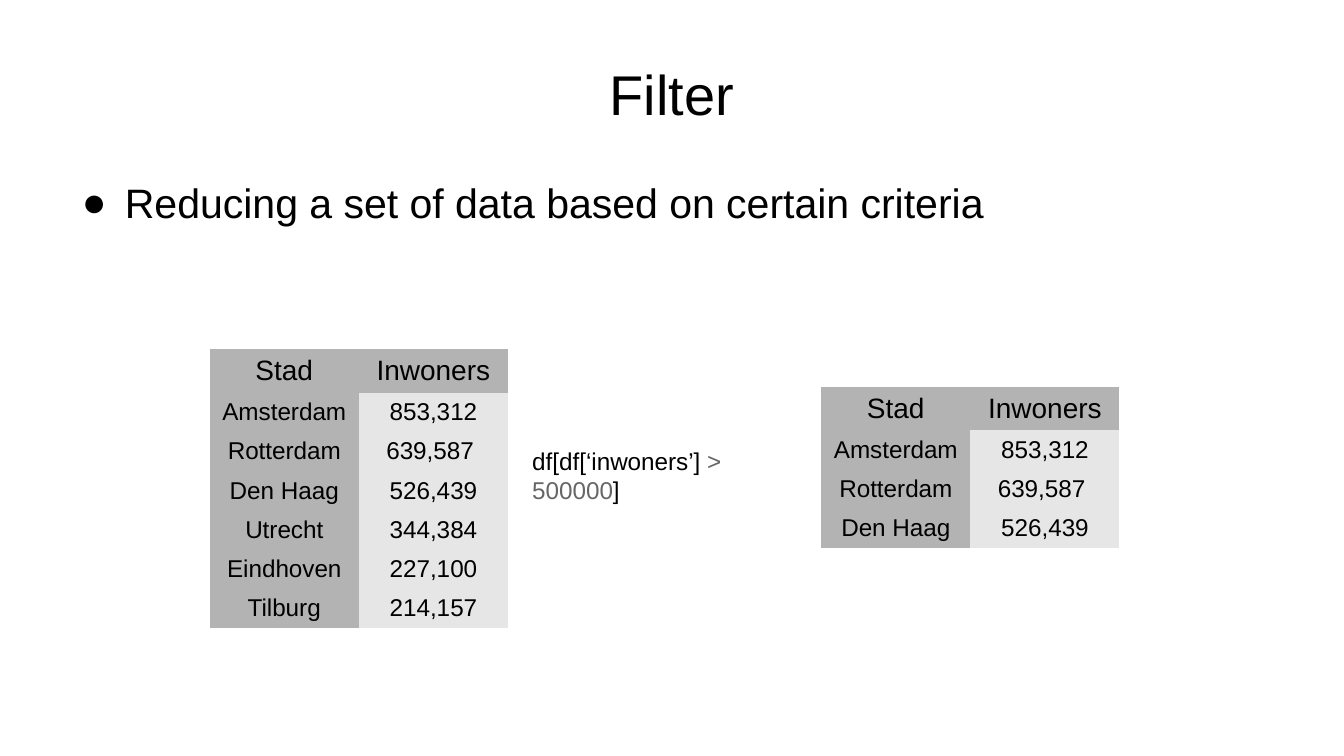
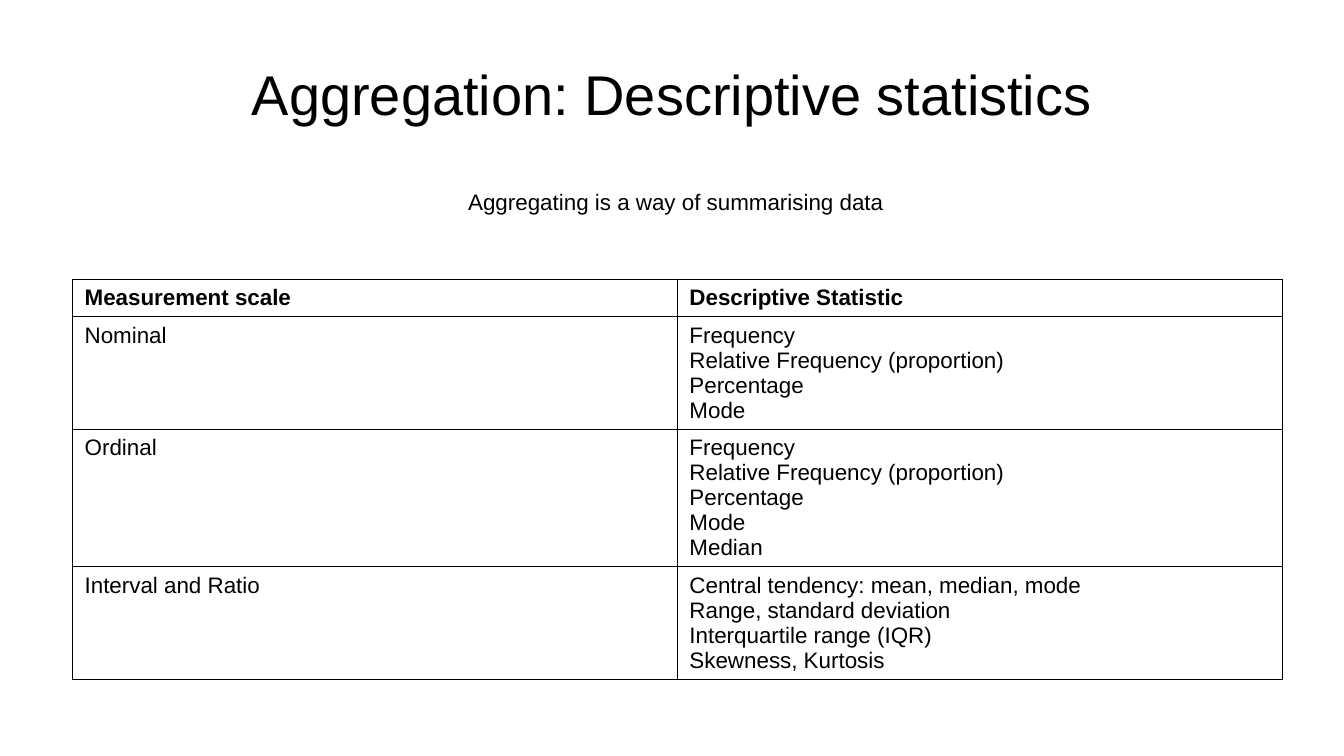
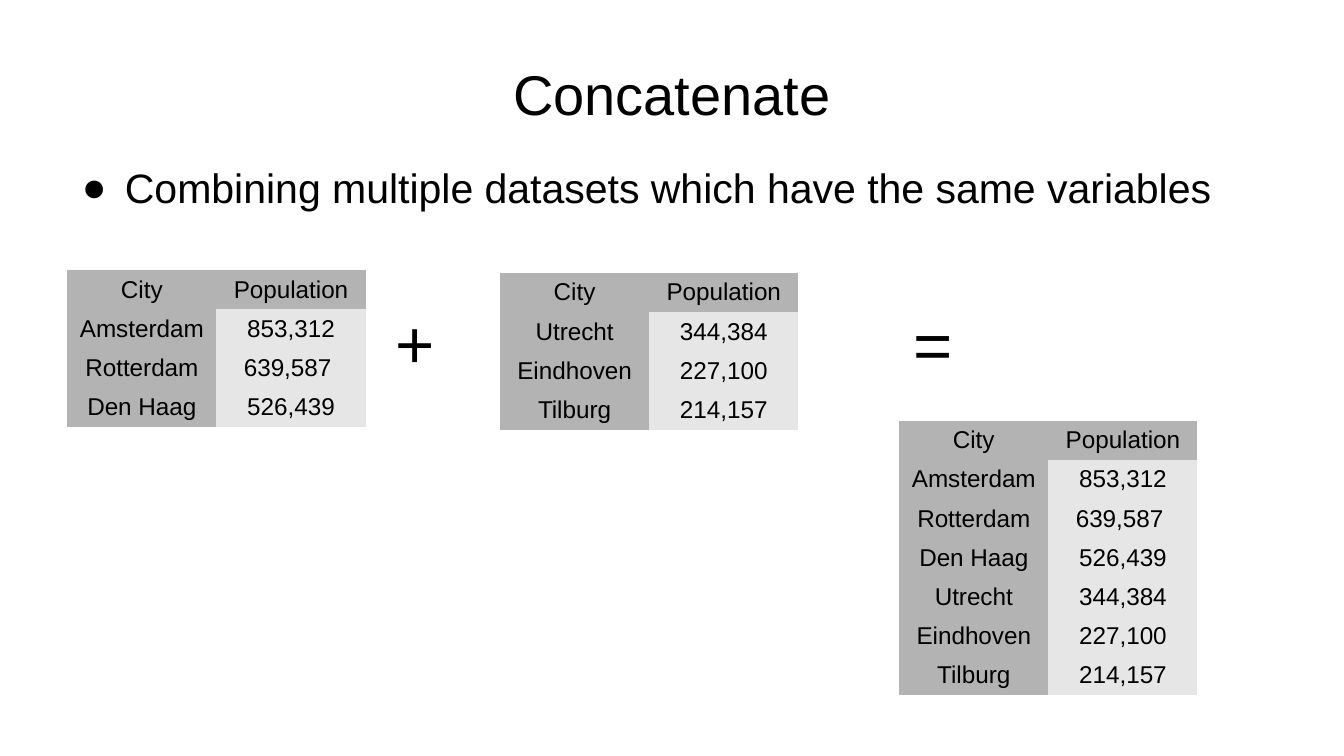
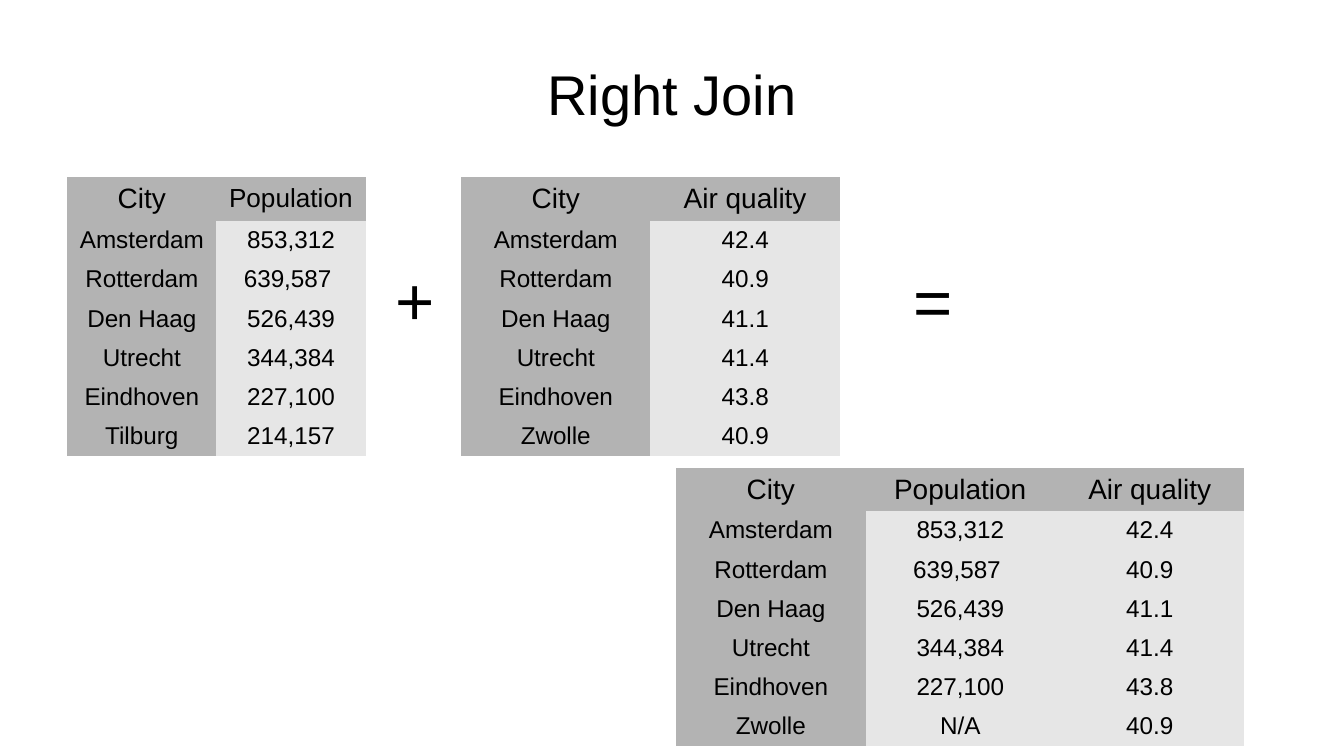
from lxml import etree
from pptx import Presentation
from pptx.dml.color import RGBColor
from pptx.enum.text import MSO_ANCHOR, MSO_AUTO_SIZE, PP_ALIGN
from pptx.oxml.ns import qn
from pptx.util import Inches, Pt

LEFT, CENTER = PP_ALIGN.LEFT, PP_ALIGN.CENTER
TOP, MIDDLE = MSO_ANCHOR.TOP, MSO_ANCHOR.MIDDLE
NO_FIT = MSO_AUTO_SIZE.NONE
TITLE_ONLY = 5

# Shared style
FONT = "Arial"
BLACK, WHITE, GREY = "000000", "FFFFFF", "666666"
HEADER_FILL, VALUE_FILL = "B3B3B3", "E6E6E6"
TITLE_SIZE, BULLET_SIZE, OPERATOR_SIZE = 30, 22, 36
HEADER_SIZE, CELL_SIZE, NOTE_SIZE = 15, 13, 12

# Grid of 100 columns by 56.25 rows on a 10 by 5.625 inch slide
WIDTH, HEIGHT = Inches(10), Inches(5.625)
CELL = WIDTH / 100
CELL_INSETS = (0.9, 0.45)
BOX_INSETS = (0.9, 0.4)
NO_INSETS = (0, 0)

# Data
POPULATION = {
    "Amsterdam": "853,312",
    "Rotterdam": "639,587 ",
    "Den Haag": "526,439",
    "Utrecht": "344,384",
    "Eindhoven": "227,100",
    "Tilburg": "214,157",
}
AIR_QUALITY = {
    "Amsterdam": "42.4",
    "Rotterdam": "40.9",
    "Den Haag": "41.1",
    "Utrecht": "41.4",
    "Eindhoven": "43.8",
    "Zwolle": "40.9",
}
FREQUENCIES = ["Frequency", "Relative Frequency (proportion)", "Percentage", "Mode"]
STATISTICS = [
    ("Measurement scale", ["Descriptive Statistic"]),
    ("Nominal", FREQUENCIES),
    ("Ordinal", FREQUENCIES + ["Median"]),
    ("Interval and Ratio", ["Central tendency: mean, median, mode",
                            "Range, standard deviation",
                            "Interquartile range (IQR)",
                            "Skewness, Kurtosis"]),
]


def color(value):
    return RGBColor.from_string(value)


def grid(*lengths):
    return [round(length * CELL) for length in lengths]


class Slides:
    def __init__(self):
        self.deck = Presentation()
        self.deck.slide_width, self.deck.slide_height = WIDTH, HEIGHT
        self.page = None

    def new_page(self, title):
        self.page = self.deck.slides.add_slide(self.deck.slide_layouts[TITLE_ONLY])
        box = self.page.shapes.title
        box.left, box.top, box.width, box.height = grid(5, 2.2, 90, 9.4)
        self.frame(box.text_frame, NO_INSETS, MIDDLE)
        self.fill_para(box.text_frame.paragraphs[0], [(title, BLACK)], TITLE_SIZE, CENTER)

    def frame(self, frame, insets, anchor=TOP):
        frame.word_wrap = True
        frame.auto_size = NO_FIT
        frame.vertical_anchor = anchor
        frame.margin_left = frame.margin_right = grid(insets[0])[0]
        frame.margin_top = frame.margin_bottom = grid(insets[1])[0]

    def fill_para(self, para, spans, size, align=LEFT, bold=False):
        para.alignment = align
        para.font.name, para.font.size, para.font.bold = FONT, Pt(size), bold
        for words, shade in spans:
            span = para.add_run()
            span.text = words
            span.font.color.rgb = color(shade)

    def text(self, place, spans, size, align=LEFT, insets=BOX_INSETS):
        box = self.page.shapes.add_textbox(*grid(*place))
        self.frame(box.text_frame, insets)
        para = box.text_frame.paragraphs[0]
        self.fill_para(para, spans, size, align)
        return para

    def bullet(self, place, words, spacing=1.0):
        para = self.text(place, [], BULLET_SIZE, insets=NO_INSETS)
        para.line_spacing = spacing
        props = para._p.get_or_add_pPr()
        margin, indent = grid(4.3, -3.2)
        props.set("marL", str(margin))
        props.set("indent", str(indent))
        # Bullet elements come before the default run properties
        tint = etree.Element(qn("a:buClr"))
        etree.SubElement(tint, qn("a:srgbClr"), val=BLACK)
        face = etree.Element(qn("a:buFont"), typeface=FONT)
        mark = etree.Element(qn("a:buChar"), char="●")
        default = props.find(qn("a:defRPr"))
        for element in (tint, face, mark):
            default.addprevious(element)
        self.fill_para(para, [(words, BLACK)], BULLET_SIZE)

    def operator(self, left, top, sign):
        self.text((left, top, 6.4, 6.5), [(sign, BLACK)], OPERATOR_SIZE)

    def table(self, left, top, column, heights, count):
        place = grid(left, top, column * count, sum(heights))
        table = self.page.shapes.add_table(len(heights), count, *place).table
        table.first_row = table.horz_banding = False
        for item in table.columns:
            item.width = grid(column)[0]
        for item, height in zip(table.rows, heights):
            item.height = grid(height)[0]
        return table

    def cell(self, cell, lines, size, fill, align=LEFT, bold=False, border=None):
        cell.margin_left = cell.margin_right = grid(CELL_INSETS[0])[0]
        cell.margin_top = cell.margin_bottom = grid(CELL_INSETS[1])[0]
        props = cell._tc.get_or_add_tcPr()
        for side in ("a:lnL", "a:lnR", "a:lnT", "a:lnB"):
            line = etree.SubElement(props, qn(side), w=str(Pt(0.75)))
            if border:
                solid = etree.SubElement(line, qn("a:solidFill"))
                etree.SubElement(solid, qn("a:srgbClr"), val=border)
            else:
                etree.SubElement(line, qn("a:noFill"))
        cell.fill.solid()
        cell.fill.fore_color.rgb = color(fill)
        for index, words in enumerate(lines):
            frame = cell.text_frame
            para = frame.add_paragraph() if index else frame.paragraphs[0]
            self.fill_para(para, [(words, BLACK)], size, align, bold)

    def city_table(self, left, top, headings, cities, *measures,
                   sizes=None, column=11.1):
        sizes = sizes or [HEADER_SIZE] * len(headings)
        rows = [headings] + [[city] + [measure.get(city, "N/A") for measure in measures]
                             for city in cities]
        header_height = 3.2 if HEADER_SIZE in sizes else 2.9
        heights = [header_height] + [2.9] * len(cities)
        table = self.table(left, top, column, heights, len(headings))
        for r, row in enumerate(rows):
            for c, words in enumerate(row):
                size = CELL_SIZE if r else sizes[c]
                fill = VALUE_FILL if r and c else HEADER_FILL
                self.cell(table.cell(r, c), [words], size, fill, CENTER)

    def statistics_table(self, left, top, rows):
        heights = [0.9 + 1.2 * len(statistics) for _, statistics in rows]
        table = self.table(left, top, 45, heights, 2)
        for r, (scale, statistics) in enumerate(rows):
            for c, lines in enumerate(([scale], statistics)):
                self.cell(table.cell(r, c), lines, NOTE_SIZE, WHITE,
                          bold=r == 0, border=BLACK)


def main():
    slides = Slides()
    cities = list(POPULATION)
    air_cities = list(AIR_QUALITY)

    # Filter
    slides.new_page("Filter")
    slides.bullet((5, 13.2, 90, 32.6), "Reducing a set of data based on certain criteria")
    dutch = ["Stad", "Inwoners"]
    slides.city_table(15.6, 26, dutch, cities, POPULATION)
    slides.text((38.7, 32.8, 22.7, 3.6),
                [("df[df[‘inwoners’] ", BLACK), ("> 500000", GREY), ("]", BLACK)],
                CELL_SIZE)
    slides.city_table(61.1, 28.8, dutch, cities[:3], POPULATION)

    # Aggregation
    slides.new_page("Aggregation: Descriptive statistics")
    slides.statistics_table(5.4, 20.8, STATISTICS)
    slides.text((5.4, 13.6, 89.8, 5.2),
                [("Aggregating is a way of summarising data", BLACK)], NOTE_SIZE, CENTER)

    # Concatenate
    slides.new_page("Concatenate")
    english = ["City", "Population"]
    for left, top, part in ((5, 20.1, cities[:3]), (66.9, 31.3, cities),
                            (37.2, 20.3, cities[3:])):
        slides.city_table(left, top, english, part, POPULATION, sizes=[CELL_SIZE] * 2)
    slides.operator(28.5, 22, "+")
    slides.operator(67.1, 22.1, "=")
    slides.bullet((5, 12.8, 90, 3.2),
                  "Combining multiple datasets which have the same variables", 0.8)

    # Right join
    slides.new_page("Right Join")
    slides.city_table(5, 13.2, english, cities, POPULATION, sizes=[HEADER_SIZE, 14])
    slides.city_table(34.3, 13.2, ["City", "Air quality"], air_cities, AIR_QUALITY,
                      column=14.1)
    slides.city_table(50.3, 34.8, english + ["Air quality"], air_cities,
                      POPULATION, AIR_QUALITY, column=14.1)
    slides.operator(28.5, 18.8, "+")
    slides.operator(67.1, 18.9, "=")

    slides.deck.save("out.pptx")


if __name__ == "__main__":
    main()
